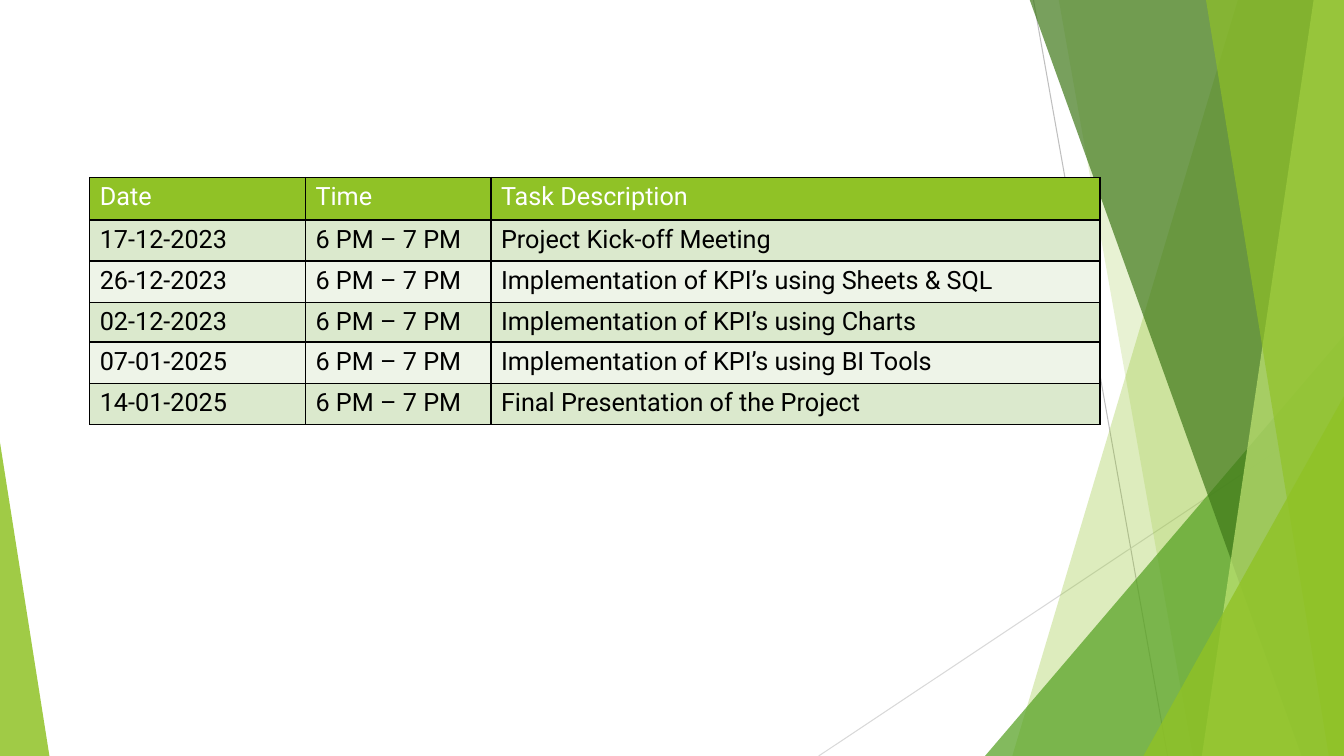
from dataclasses import dataclass

from lxml import etree
from pptx import Presentation
from pptx.dml.color import RGBColor
from pptx.enum.shapes import MSO_CONNECTOR, MSO_SHAPE
from pptx.oxml.ns import qn
from pptx.util import Inches, Pt

STRAIGHT = MSO_CONNECTOR.STRAIGHT
TRIANGLE = MSO_SHAPE.ISOSCELES_TRIANGLE

WIDTH, HEIGHT = 13.33, 7.5
TOP = -0.01


@dataclass(frozen=True)
class Theme:
    """Colours, font and sizes of the slide."""

    font: str = "Roboto"
    text_size: int = 18
    line_width: float = 0.75
    border_width: float = 1
    header_rule_width: float = 1.5
    lime: str = "90C226"
    green: str = "54A021"
    forest: str = "3F7819"
    pale_lime: str = "C0E474"
    steep_line: str = "BFBFBF"
    shallow_line: str = "D9D9D9"
    black: str = "000000"
    white: str = "FFFFFF"
    bands: tuple = ("DBE9CD", "EEF4E8")


class ScheduleSlide:
    """Draws the elements of one slide in one theme."""

    def __init__(self, slide, theme):
        """Keep the slide and its theme."""
        self.slide = slide
        self.theme = theme

    def add_line(self, start, end, color):
        """Draw a thin straight line between two points."""
        ends = [Inches(value) for value in (*start, *end)]
        line = self.slide.shapes.add_connector(STRAIGHT, *ends)
        line.line.color.rgb = RGBColor.from_string(color)
        line.line.width = Pt(self.theme.line_width)
        etree.SubElement(line._element.spPr, qn("a:effectLst"))

    def paint(self, shape, color, opacity):
        """Give a shape a translucent fill without outline or shadow."""
        shape.shadow.inherit = False
        shape.line.fill.background()
        shape.fill.solid()
        shape.fill.fore_color.rgb = RGBColor.from_string(color)
        color_element = shape._element.spPr.find(".//" + qn("a:srgbClr"))
        alpha = etree.SubElement(color_element, qn("a:alpha"))
        alpha.set("val", str(opacity * 1000))

    def add_panel(self, top_left, bottom_left, color, opacity):
        """Draw a slanted panel that reaches the right edge of the slide."""
        corners = [(top_left, TOP), (WIDTH, TOP), (WIDTH, HEIGHT), (bottom_left, HEIGHT)]
        points = [(Inches(x), Inches(y)) for x, y in corners]
        builder = self.slide.shapes.build_freeform(*points[0])
        builder.add_line_segments(points[1:], close=True)
        self.paint(builder.convert_to_shape(), color, opacity)

    def add_corner(self, left, right, top, apex, color, opacity):
        """Draw a right triangle standing on the bottom edge."""
        box = [Inches(value) for value in (left, top, right - left, HEIGHT - top)]
        shape = self.slide.shapes.add_shape(TRIANGLE, *box)
        shape.adjustments[0] = apex
        self.paint(shape, color, opacity)

    def add_border(self, cell, side, width):
        """Draw one side of a cell border."""
        border = etree.SubElement(
            cell._tc.get_or_add_tcPr(), qn("a:" + side), w=str(Pt(width))
        )
        fill = etree.SubElement(border, qn("a:solidFill"))
        etree.SubElement(fill, qn("a:srgbClr"), val=self.theme.black)

    def fill_cell(self, cell, text, row):
        """Write and style one cell according to its row."""
        theme = self.theme
        rule_side = {0: "lnB", 1: "lnT"}.get(row)
        for side in ("lnL", "lnR", "lnT", "lnB"):
            width = theme.header_rule_width if side == rule_side else theme.border_width
            self.add_border(cell, side, width)
        cell.fill.solid()
        background = theme.bands[(row - 1) % 2] if row else theme.lime
        cell.fill.fore_color.rgb = RGBColor.from_string(background)
        run = cell.text_frame.paragraphs[0].add_run()
        run.text = text
        run.font.name = theme.font
        run.font.size = Pt(theme.text_size)
        run.font.bold = False
        run.font.color.rgb = RGBColor.from_string(theme.black if row else theme.white)

    def add_table(self, left, top, widths, heights, rows):
        """Draw a table with a header row and banded body rows."""
        box = [Inches(value) for value in (left, top, sum(widths), sum(heights))]
        table = self.slide.shapes.add_table(len(rows), len(widths), *box).table
        for column, width in zip(table.columns, widths):
            column.width = Inches(width)
        for table_row, height in zip(table.rows, heights):
            table_row.height = Inches(height)
        for row, texts in enumerate(rows):
            for column, text in enumerate(texts):
                self.fill_cell(table.cell(row, column), text, row)


def main():
    """Build and save the project schedule."""
    presentation = Presentation()
    presentation.slide_width = Inches(WIDTH)
    presentation.slide_height = Inches(HEIGHT)
    slide = presentation.slides.add_slide(presentation.slide_layouts[6])
    theme = Theme()
    schedule = ScheduleSlide(slide, theme)

    schedule.add_line((10.25, 0), (11.58, HEIGHT), theme.steep_line)
    schedule.add_line((WIDTH, 4.03), (8.12, HEIGHT), theme.shallow_line)
    schedule.add_panel(12.28, 10.04, theme.lime, 30)
    schedule.add_panel(10.5, 11.83, theme.lime, 20)
    schedule.add_corner(9.77, WIDTH, 3.33, 1, theme.green, 72)
    schedule.add_panel(10.21, 12.91, theme.forest, 70)
    schedule.add_panel(13.03, 11.92, theme.pale_lime, 70)
    schedule.add_panel(11.96, 13.18, theme.lime, 65)
    schedule.add_corner(11.34, WIDTH, 3.93, 1, theme.lime, 80)
    schedule.add_corner(0, 0.49, 4.39, 0, theme.lime, 85)

    meeting_time = "6 PM – 7 PM"
    tasks = [
        ("17-12-2023", "Project Kick-off Meeting"),
        ("26-12-2023", "Implementation of KPI’s using Sheets & SQL"),
        ("02-12-2023", "Implementation of KPI’s using Charts"),
        ("07-01-2025", "Implementation of KPI’s using BI Tools"),
        ("14-01-2025", "Final Presentation of the Project"),
    ]
    rows = [("Date", "Time", "Task Description")]
    rows += [(date, meeting_time, task) for date, task in tasks]
    schedule.add_table(
        0.89, 1.76, (2.14, 1.84, 6.04), (0.42, 0.41, 0.41, 0.39, 0.41, 0.41), rows
    )
    presentation.save("out.pptx")


if __name__ == "__main__":
    main()
